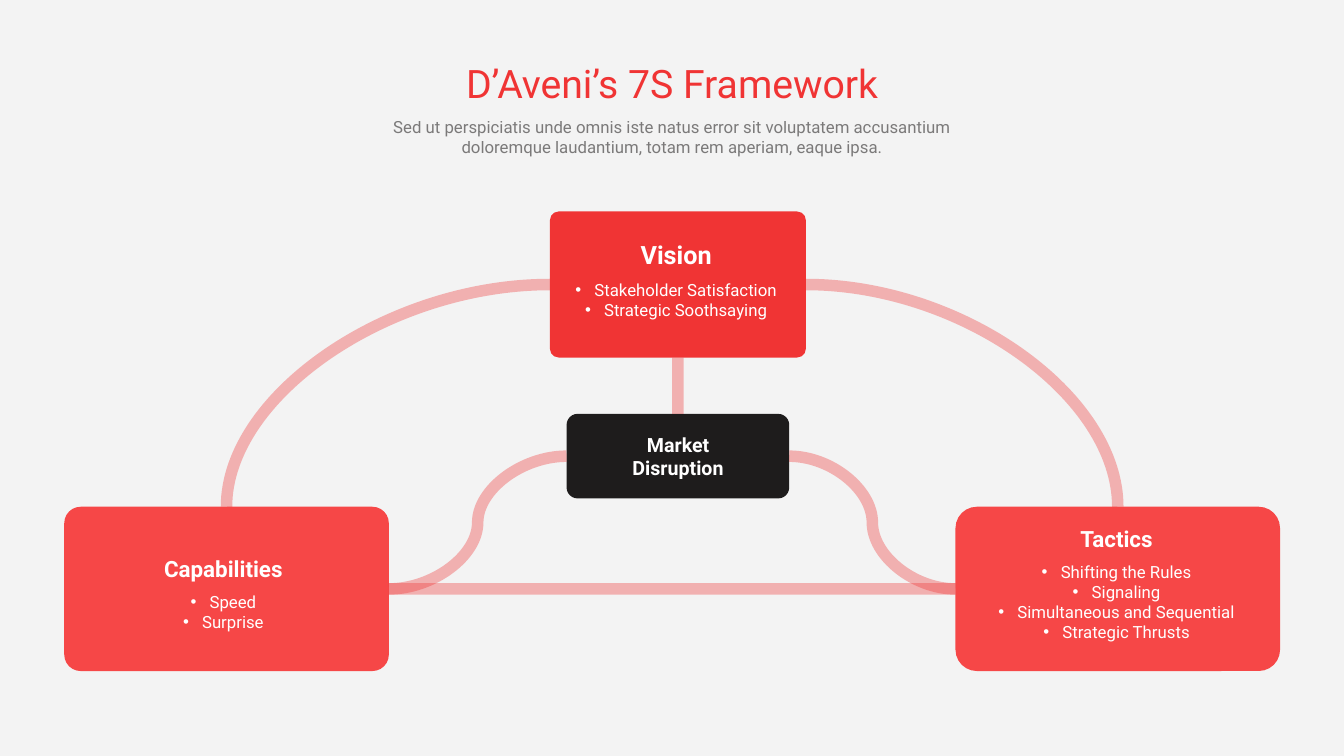
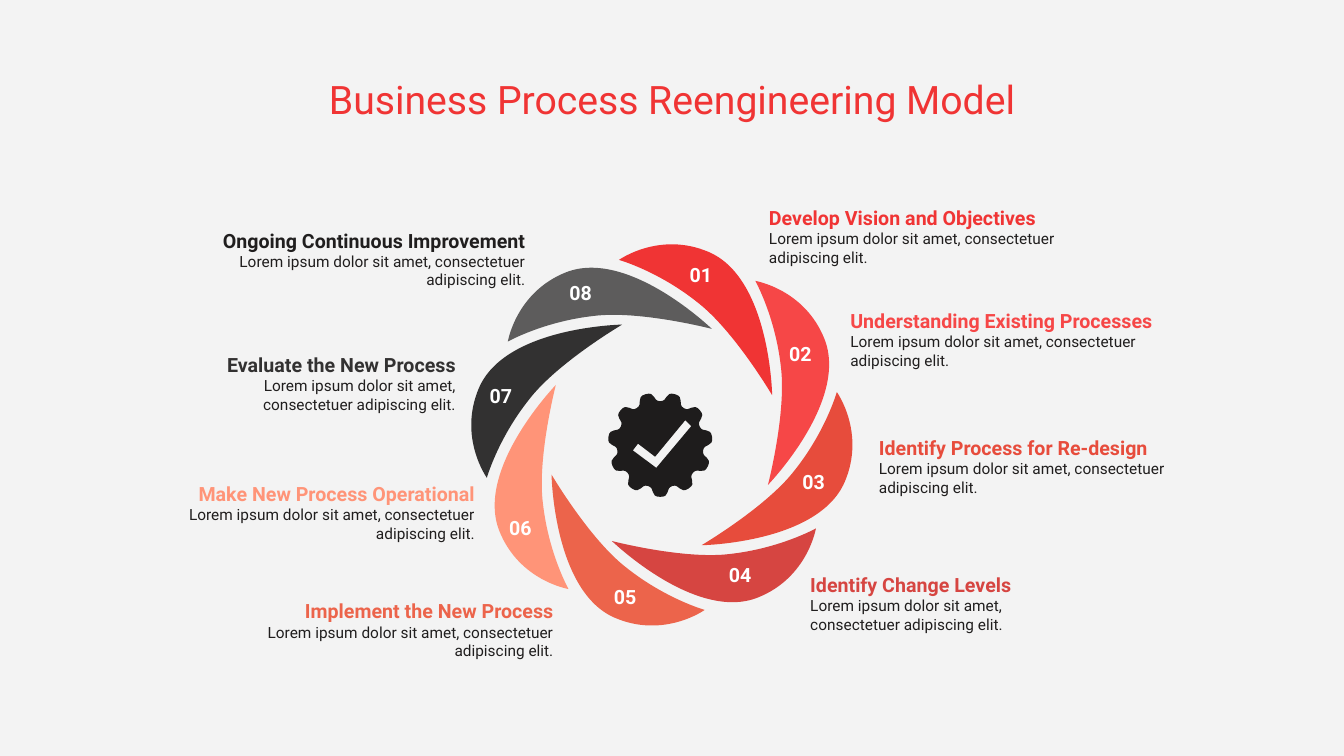
"""Build two slides: a seven-part framework and an eight-step process wheel."""
import copy
import math
from typing import NamedTuple

from lxml import etree
from pptx import Presentation
from pptx import util as u
from pptx.dml import color as dml
from pptx.enum import shapes, text
from pptx.oxml.ns import qn

FONT = "Roboto"
PAPER, INK, BLACK, WHITE = "F3F3F3", "201E1E", "1E1C1C", "FFFFFF"
RED, CORAL = "F03434", "F64747"
LEFT, MID, RIGHT = text.PP_ALIGN.LEFT, text.PP_ALIGN.CENTER, text.PP_ALIGN.RIGHT
TOP, CORE, BASE = text.MSO_ANCHOR.TOP, text.MSO_ANCHOR.MIDDLE, text.MSO_ANCHOR.BOTTOM
LOREM = "Lorem ipsum dolor sit amet, consectetuer adipiscing elit."
Point = tuple[float, float]


class Box(NamedTuple):
    x: float
    y: float
    w: float
    h: float


class Line(NamedTuple):
    words: str
    size: float
    hue: str = WHITE
    bold: bool = False
    alpha: int = 100
    dot: bool = False
    after: float = 0
    tail: str = ""


class Card(NamedTuple):
    name: str
    box: Box
    bend: float
    hue: str
    area: Box
    lines: list[Line]


class Link(NamedTuple):
    start: str
    side: int
    end: str
    stop: int
    form: str


class Step(NamedTuple):
    head: str
    hue: str
    x: float
    y: float
    w: float
    mark: Point
    fill: str
    alpha: int = 100
    fade: int = 100


def items(*words: str) -> list[Line]:
    return [Line(word, 12, dot=True) for word in words]


CARDS = [
    Card("Vision", Box(13.86, 5.33, 6.45, 3.68), 0.06, RED, Box(14.17, 5.89, 5.74, 2.31),
         [Line("Vision", 18, bold=True, after=7),
          *items("Stakeholder Satisfaction", "Strategic Soothsaying")]),
    Card("Capabilities", Box(1.62, 12.77, 8.18, 4.14), 0.1, CORAL, Box(2.43, 13.84, 6.4, 2.24),
         [Line("Capabilities", 16, bold=True, after=7), *items("Speed", "Surprise")]),
    Card("Tactics", Box(24.08, 12.77, 8.18, 4.14), 0.13, CORAL, Box(24.47, 13.08, 7.34, 3.25),
         [Line("Tactics", 16, bold=True, after=7),
          *items("Shifting the Rules", "Signaling",
                 "Simultaneous and Sequential", "Strategic Thrusts")]),
    Card("Market", Box(14.28, 10.43, 5.61, 2.13), 0.13, BLACK, Box(14.84, 10.77, 4.5, 1.45),
         [Line("Market", 14, bold=True), Line("Disruption", 14, bold=True)]),
]

LINKS = [
    Link("Vision", 3, "Tactics", 0, "curvedConnector2"),
    Link("Vision", 1, "Capabilities", 0, "curvedConnector2"),
    Link("Vision", 2, "Market", 0, "line"),
    Link("Market", 3, "Tactics", 1, "curvedConnector3"),
    Link("Market", 1, "Capabilities", 3, "curvedConnector3"),
    Link("Capabilities", 3, "Tactics", 1, "line"),
]

STEPS = [
    Step("Develop Vision and Objectives", RED, 19.13, 5.05, 7.9, (17.13, 6.5), RED),
    Step("Understanding Existing Processes", CORAL, 21.18, 7.65, 8.81, (19.64, 8.48), CORAL),
    Step("Identify Process for Re-design", "E74C3C", 21.9, 10.85, 8.15, (19.97, 11.71), "E74C3C"),
    Step("Identify Change Levels", "D64541", 20.17, 14.3, 6.05, (18.12, 14.05), "D64541"),
    Step("Implement the New Process", "EC644B", 5.61, 14.96, 8.59, (15.22, 14.61), "EC644B"),
    Step("Make New Process Operational", "FF9478", 3.63, 12.01, 8.59, (12.58, 12.86), "FF9478"),
    Step("Evaluate the New Process", BLACK, 4.2, 8.75, 7.54, (12.09, 9.55), BLACK, 90, 90),
    Step("Ongoing Continuous Improvement", INK, 4.09, 5.62, 9.4, (14.1, 6.94), BLACK, 70),
]

HUB = (16.68, 10.96)
BLADE = [
    (-1.08, -4.41), (-1.08, -4.41), (-0.06, -5.14), (1.18, -4.61),
    (2.73, -3.95), (2.78, -1), (2.78, -1),
    (2.78, -1), (1.82, -2.63), (0.9, -3.34),
    (-0.09, -4.13), (-1.08, -4.41), (-1.08, -4.41),
]
SEAL = (16.64, 11.2)
LOBES = 11
TICK = [(16.54, 11.79), (15.95, 11.35), (16.08, 11.18),
        (16.51, 11.51), (17.27, 10.59), (17.42, 10.74)]


def paint(fill, hue: str, host=None, alpha: int = 100) -> None:
    fill.solid()
    fill.fore_color.rgb = dml.RGBColor.from_string(hue)
    if alpha < 100:
        for node in host.iter(qn("a:srgbClr")):
            etree.SubElement(node, qn("a:alpha"), val=str(alpha * 1000))


def put(para, line: Line):
    run = para.add_run()
    run.text = line.words
    run.font.name = FONT
    run.font.size = u.Pt(line.size)
    run.font.bold = line.bold
    paint(run.font.fill, line.hue, run._r, line.alpha)
    return run


def write(slide, box: Box, lines: list[Line], align=MID, anchor=CORE) -> None:
    frame = slide.shapes.add_textbox(*map(u.Cm, box)).text_frame
    frame.word_wrap = True
    frame.auto_size = text.MSO_AUTO_SIZE.SHAPE_TO_FIT_TEXT
    frame.vertical_anchor = anchor
    for i, line in enumerate(lines):
        para = frame.add_paragraph() if i else frame.paragraphs[0]
        para.alignment = align
        if line.after:
            para.space_after = u.Pt(line.after)
        if line.dot:
            props = para._p.get_or_add_pPr()
            props.set("marL", str(u.Cm(0.48)))
            props.set("indent", str(-u.Cm(0.48)))
            etree.SubElement(props, qn("a:buFont"), typeface="Arial")
            etree.SubElement(props, qn("a:buChar"), char="•")
        run = put(para, line)
        if line.tail:
            para.add_line_break()
            para._p[-1].append(copy.deepcopy(run._r.rPr))
            put(para, Line(line.tail, 11, INK))


def title(slide, words: str, top: float) -> None:
    write(slide, Box(7.65, top, 18.57, 1.45), [Line(words, 28, RED)], anchor=BASE)


def finish(shape, hue: str, alpha: int = 100) -> None:
    shape.shadow.inherit = False
    shape.line.fill.background()
    paint(shape.fill, hue, shape._element.spPr, alpha)


def panel(slide, card: Card):
    shape = slide.shapes.add_shape(shapes.MSO_SHAPE.ROUNDED_RECTANGLE, *map(u.Cm, card.box))
    shape.adjustments[0] = card.bend
    finish(shape, card.hue)
    return shape


def join(slide, link: Link, panels: dict) -> None:
    kind = shapes.MSO_CONNECTOR
    kind = kind.STRAIGHT if link.form == "line" else kind.CURVE
    wire = slide.shapes.add_connector(kind, 0, 0, 0, 0)
    wire.begin_connect(panels[link.start], link.side)
    wire.end_connect(panels[link.end], link.stop)
    props = wire._element.spPr
    props.find(qn("a:prstGeom")).set("prst", link.form)
    wire.line.width = u.Cm(0.29)
    paint(wire.line.fill, RED, props, 35)
    etree.SubElement(props, qn("a:effectLst"))


def outline(slide, curve: list[Point], hue: str, alpha: int = 100, hole: list[Point] = ()) -> None:
    edge, gap = [[(u.Cm(x), u.Cm(y)) for x, y in ring] for ring in (curve, hole)]
    pen = slide.shapes.build_freeform(*edge[0])
    pen.add_line_segments(edge[1:])
    if gap:
        pen.move_to(*gap[0])
        pen.add_line_segments(gap[1:])
    shape = pen.convert_to_shape()
    track = next(shape._element.iter(qn("a:path")))
    legs = track.findall(qn("a:lnTo"))[:len(edge) - 1]
    for first, *rest in zip(legs[::3], legs[1::3], legs[2::3]):
        first.tag = qn("a:cubicBezTo")
        for leg in rest:
            first.append(leg[0])
            track.remove(leg)
    finish(shape, hue, alpha)


def turn(dot: Point, angle: float, hub: Point = HUB) -> Point:
    (x, y), c, s = dot, math.cos(angle), math.sin(angle)
    return hub[0] + x * c - y * s, hub[1] + x * s + y * c


def scallop() -> list[Point]:
    ring = []
    for i in range(2 * LOBES + 1):
        reach, pull = (1.09, 0.2) if i % 2 else (1.32, 0.27)
        knots = [(-pull, reach), (0, reach), (pull, reach)]
        ring += [turn(knot, -math.pi * i / LOBES, SEAL) for knot in knots]
    return ring[1:-1]


def framework(slide) -> None:
    title(slide, "D’Aveni’s 7S Framework", 1.35)
    write(slide, Box(8.56, 2.82, 16.76, 1.27),
          [Line("Sed ut perspiciatis unde omnis iste natus error sit voluptatem accusantium "
                "doloremque laudantium, totam rem aperiam, eaque ipsa.", 12, INK, alpha=56)],
          anchor=TOP)
    panels = {card.name: panel(slide, card) for card in CARDS}
    for link in LINKS:
        join(slide, link, panels)
    for card in CARDS:
        write(slide, card.area, card.lines)


def process(slide) -> None:
    title(slide, "Business Process Reengineering Model", 1.75)
    for step in STEPS:
        write(slide, Box(step.x, step.y, step.w, 1.8),
              [Line(step.head, 14, step.hue, True, step.fade, tail=LOREM)],
              LEFT if step.x > HUB[0] else RIGHT)
    for i, step in enumerate(STEPS):
        angle = math.tau * i / len(STEPS)
        outline(slide, [turn(dot, angle) for dot in BLADE], step.fill, step.alpha)
    for i, step in enumerate(STEPS, 1):
        write(slide, Box(*step.mark, 1.22, 0.86), [Line(f"{i:02}", 14, bold=True)], LEFT)
    outline(slide, scallop(), BLACK, hole=TICK)


def main() -> None:
    deck = Presentation()
    deck.slide_width, deck.slide_height = u.Cm(33.87), u.Cm(19.05)
    paint(deck.slide_master.background.fill, PAPER)
    for draw in (framework, process):
        draw(deck.slides.add_slide(deck.slide_layouts[6]))
    deck.save("out.pptx")


if __name__ == "__main__":
    main()
